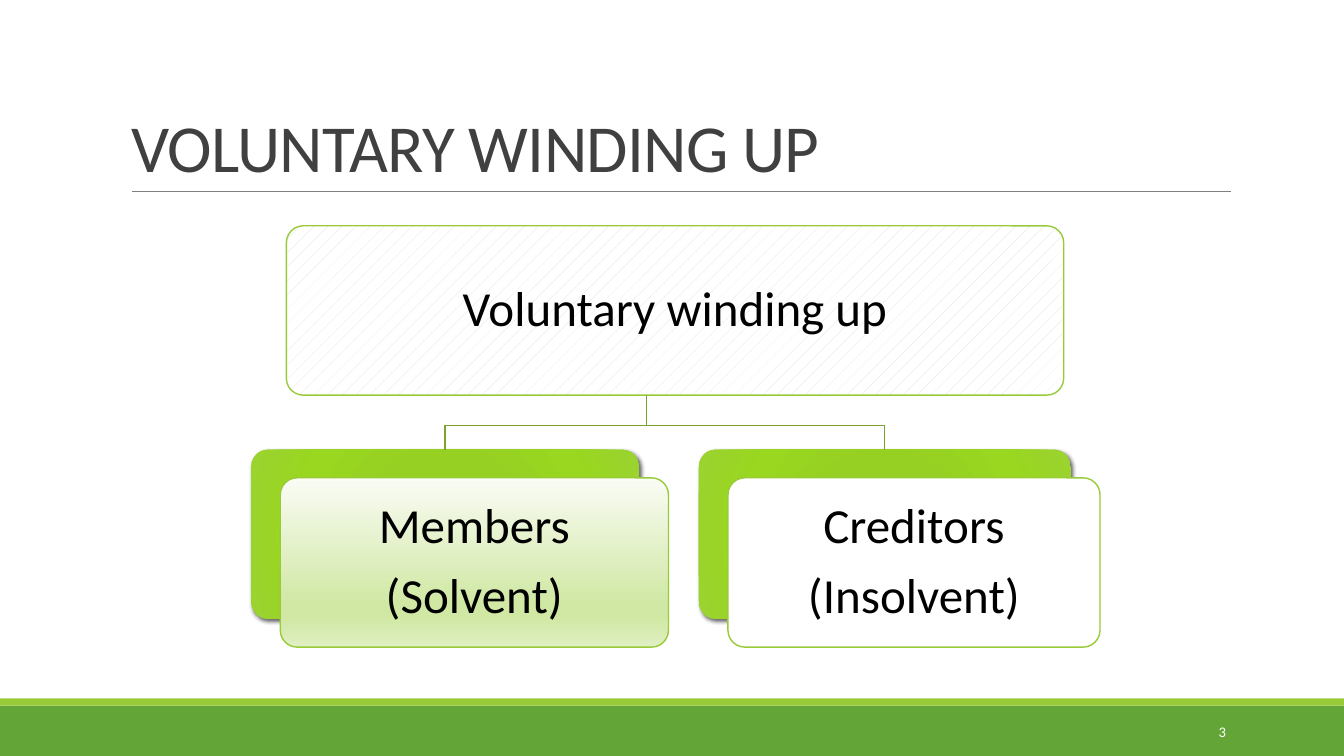
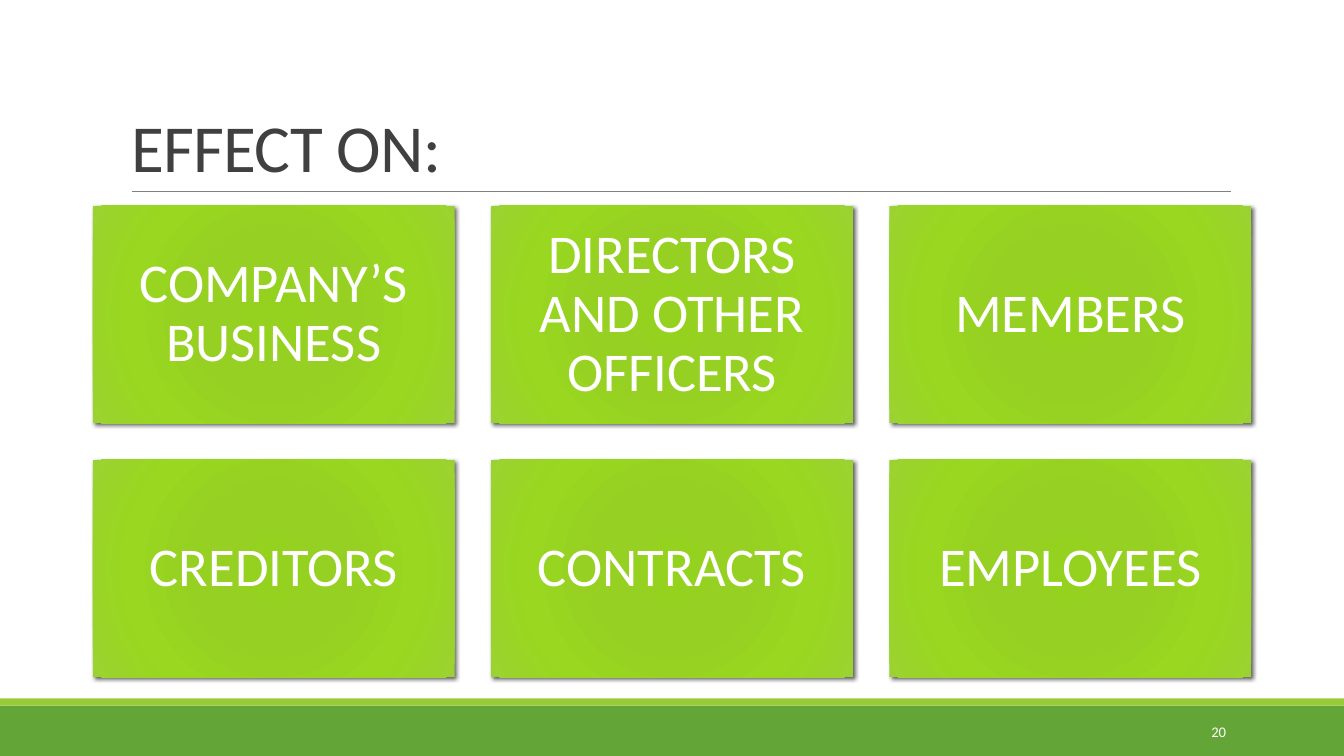
from pptx import Presentation
from pptx.dml.color import RGBColor
from pptx.enum.dml import MSO_PATTERN
from pptx.enum.shapes import MSO_CONNECTOR, MSO_SHAPE
from pptx.enum.text import MSO_ANCHOR, MSO_AUTO_SIZE, PP_ALIGN
from pptx.oxml import parse_xml
from pptx.oxml.ns import qn
from pptx.util import Inches, Pt

RECTANGLE = MSO_SHAPE.RECTANGLE
ROUNDED = MSO_SHAPE.ROUNDED_RECTANGLE
STRAIGHT = MSO_CONNECTOR.STRAIGHT
DOTTED = MSO_PATTERN.PERCENT_5
MIDDLE, BOTTOM = MSO_ANCHOR.MIDDLE, MSO_ANCHOR.BOTTOM
LEFT, CENTER, RIGHT = PP_ALIGN.LEFT, PP_ALIGN.CENTER, PP_ALIGN.RIGHT

FONT = "Calibri"
WHITE = RGBColor(0xFF, 0xFF, 0xFF)
BLACK = RGBColor(0, 0, 0)
TITLE_GRAY = RGBColor(0x40, 0x40, 0x40)
RULE_GRAY = RGBColor(0x80, 0x80, 0x80)
BAND_GREEN = RGBColor(0x63, 0xA5, 0x37)
LIME = RGBColor(0x99, 0xCB, 0x38)
BRANCH_GREEN = RGBColor(0x7B, 0xA3, 0x2D)
SAND = RGBColor(0xE2, 0xDF, 0xCC)

NAMESPACE = 'xmlns:a="http://schemas.openxmlformats.org/drawingml/2006/main"'
RADIAL = ('<a:path path="circle"><a:fillToRect l="100000" t="100000" '
          'r="100000" b="100000"/></a:path>')
DOWNWARD = '<a:lin ang="5400000" scaled="0"/>'
GLOSS_STOPS = [(0, "95D220"), (34, "96D023"), (70, "99D720"), (100, "9BD231")]
PALE_STOPS = [(0, "FAFCF5"), (74, "D1E8A5"), (83, "D1E8A5"), (100, "E0EFC3")]


def fill_gradient(shape, stops, direction):
    shape.fill.background()
    properties = shape.element.spPr
    stop_xml = "".join(
        f'<a:gs pos="{percent * 1000}"><a:srgbClr val="{color}"/></a:gs>'
        for percent, color in stops)
    gradient = parse_xml(f'<a:gradFill {NAMESPACE} rotWithShape="1">'
                         f'<a:gsLst>{stop_xml}</a:gsLst>{direction}</a:gradFill>')
    properties.replace(properties.find(qn("a:noFill")), gradient)


def fill_pattern(shape, foreground):
    shape.fill.patterned()
    shape.fill.pattern = DOTTED
    shape.fill.fore_color.rgb = foreground
    shape.fill.back_color.rgb = WHITE


def add_box(slide, kind, left, top, width, height, outline=None):
    """Add a shape without shadow or fill; the caller fills it."""
    shape = slide.shapes.add_shape(kind, Inches(left), Inches(top),
                                   Inches(width), Inches(height))
    shape.shadow.inherit = False
    if kind == ROUNDED:
        shape.adjustments[0] = 0.1
    if outline is None:
        shape.line.fill.background()
    else:
        shape.line.color.rgb = outline
        shape.line.width = Pt(1)
    return shape


def add_glossy_box(slide, kind, left, top, width, height):
    shape = add_box(slide, kind, left, top, width, height)
    fill_gradient(shape, GLOSS_STOPS, RADIAL)
    shape.element.spPr.find(qn("a:effectLst")).append(parse_xml(
        f'<a:outerShdw {NAMESPACE} blurRad="{Pt(3)}" dist="{Pt(2)}" '
        'dir="2700000" algn="tl" rotWithShape="0"><a:srgbClr val="000000">'
        '<a:alpha val="60000"/></a:srgbClr></a:outerShdw>'))
    return shape


def add_line(slide, start, end, color, points):
    connector = slide.shapes.add_connector(
        STRAIGHT, *(Inches(length) for length in (*start, *end)))
    connector.line.color.rgb = color
    connector.line.width = Pt(points)
    connector.element.spPr.append(parse_xml(f"<a:effectLst {NAMESPACE}/>"))
    return connector


def write(shape, lines, size, color, alignment=CENTER, anchor=MIDDLE,
          spacing=0.9, after=0.35):
    """Write one paragraph per line; after is a share of the text size."""
    frame = shape.text_frame
    frame.word_wrap = True
    frame.auto_size = MSO_AUTO_SIZE.NONE
    frame.vertical_anchor = anchor
    for index, line in enumerate(lines):
        paragraph = frame.add_paragraph() if index else frame.paragraphs[0]
        paragraph.alignment = alignment
        paragraph.line_spacing = spacing
        paragraph.space_before = Pt(0)
        paragraph.space_after = Pt(size * after)
        run = paragraph.add_run()
        run.text = line
        run.font.name = FONT
        run.font.size = Pt(size)
        run.font.color.rgb = color
    return frame


def set_margins(frame, margin):
    frame.margin_left = frame.margin_right = Inches(margin)
    frame.margin_top = frame.margin_bottom = Inches(margin)


def decorate_layout(slide):
    """Draw the bands and title rule, then move them to the slide's layout."""
    parts = []
    for top, height, color in ((7, 0.5, BAND_GREEN), (6.93, 0.07, LIME)):
        band = add_box(slide, RECTANGLE, 0, top, 13.33, height)
        band.fill.solid()
        band.fill.fore_color.rgb = color
        parts.append(band)
    parts.append(add_line(slide, (1.31, 1.9), (12.21, 1.9), RULE_GRAY, 0.5))
    tree = slide.slide_layout.shapes.element
    for position, part in enumerate(parts, start=2):
        tree.insert(position, part.element)


def add_titled_slide(presentation, title_text, number):
    slide = presentation.slides.add_slide(presentation.slide_layouts[5])
    # Title
    title = slide.shapes.title
    title.left, title.top = Inches(1.2), Inches(0.31)
    title.width, title.height = Inches(11), Inches(1.59)
    frame = write(title, [title_text], 48, TITLE_GRAY, LEFT, BOTTOM, 0.85, 0)
    frame.paragraphs[0].runs[0].font.element.set("spc", "-50") if hasattr(
        frame.paragraphs[0].runs[0].font, "element") else \
        frame.paragraphs[0].runs[0]._r.get_or_add_rPr().set("spc", "-50")
    # Slide number
    number_box = slide.shapes.add_textbox(Inches(10.83), Inches(7.06),
                                          Inches(1.43), Inches(0.4))
    write(number_box, [str(number)], 10.5, WHITE, RIGHT, spacing=1.0, after=0)
    return slide


def add_branch_card(slide, left, top, width, height, lines):
    """Add a glossy back box and an offset front card; return both."""
    back = add_glossy_box(slide, ROUNDED, left, top, width, height)
    front = add_box(slide, ROUNDED, left + 0.29, top + 0.28, width, height, LIME)
    set_margins(write(front, lines, 35, BLACK), 0.2)
    return back, front


def add_hierarchy(slide, left, top):
    """Add the root card with its two branches and the lines between."""
    card_height = 1.68
    branch_top = top + 2.22
    bar_y = top + 1.98
    trunk_x = left + 3.92

    # Root
    root = add_box(slide, ROUNDED, left + 0.35, top, 7.71, card_height, LIME)
    fill_pattern(root, SAND)
    set_margins(write(root, ["Voluntary winding up"], 35, BLACK), 0.2)

    # Branches
    members_width, creditors_width, creditors_left = 3.85, 3.69, left + 4.44
    members, members_card = add_branch_card(
        slide, left, branch_top, members_width, card_height,
        ["Members", "(Solvent)"])
    fill_gradient(members_card, PALE_STOPS, DOWNWARD)
    creditors, creditors_card = add_branch_card(
        slide, creditors_left, branch_top, creditors_width, card_height,
        ["Creditors", "(Insolvent)"])
    fill_pattern(creditors_card, WHITE)

    # Trunk, bar and drops
    members_x = left + members_width / 2
    creditors_x = creditors_left + creditors_width / 2
    add_line(slide, (trunk_x, top + card_height), (trunk_x, bar_y),
             BRANCH_GREEN, 1)
    add_line(slide, (members_x, bar_y), (creditors_x, bar_y), BRANCH_GREEN, 1)
    for x, branch in ((members_x, members), (creditors_x, creditors)):
        drop = add_line(slide, (x, bar_y), (x, branch_top), BRANCH_GREEN, 1)
        drop.end_connect(branch, 0)


def add_tile_grid(slide, left, top, labels, columns=3):
    width, height, gap = 3.59, 2.16, 0.36
    for index, label in enumerate(labels):
        row, column = divmod(index, columns)
        tile = add_glossy_box(slide, RECTANGLE, left + column * (width + gap),
                              top + row * (height + gap), width, height)
        set_margins(write(tile, [label], 39, WHITE), 0.16)


def main():
    presentation = Presentation()
    presentation.slide_width = Inches(13.33)
    presentation.slide_height = Inches(7.5)

    winding_up = add_titled_slide(presentation, "VOLUNTARY WINDING UP", 3)
    decorate_layout(winding_up)
    add_hierarchy(winding_up, 2.49, 2.24)

    effects = add_titled_slide(presentation, "EFFECT ON:", 20)
    add_tile_grid(effects, 0.92, 2.04, [
        "COMPANY’S BUSINESS", "DIRECTORS AND OTHER OFFICERS", "MEMBERS",
        "CREDITORS", "CONTRACTS", "EMPLOYEES"])

    presentation.save("out.pptx")


if __name__ == "__main__":
    main()
